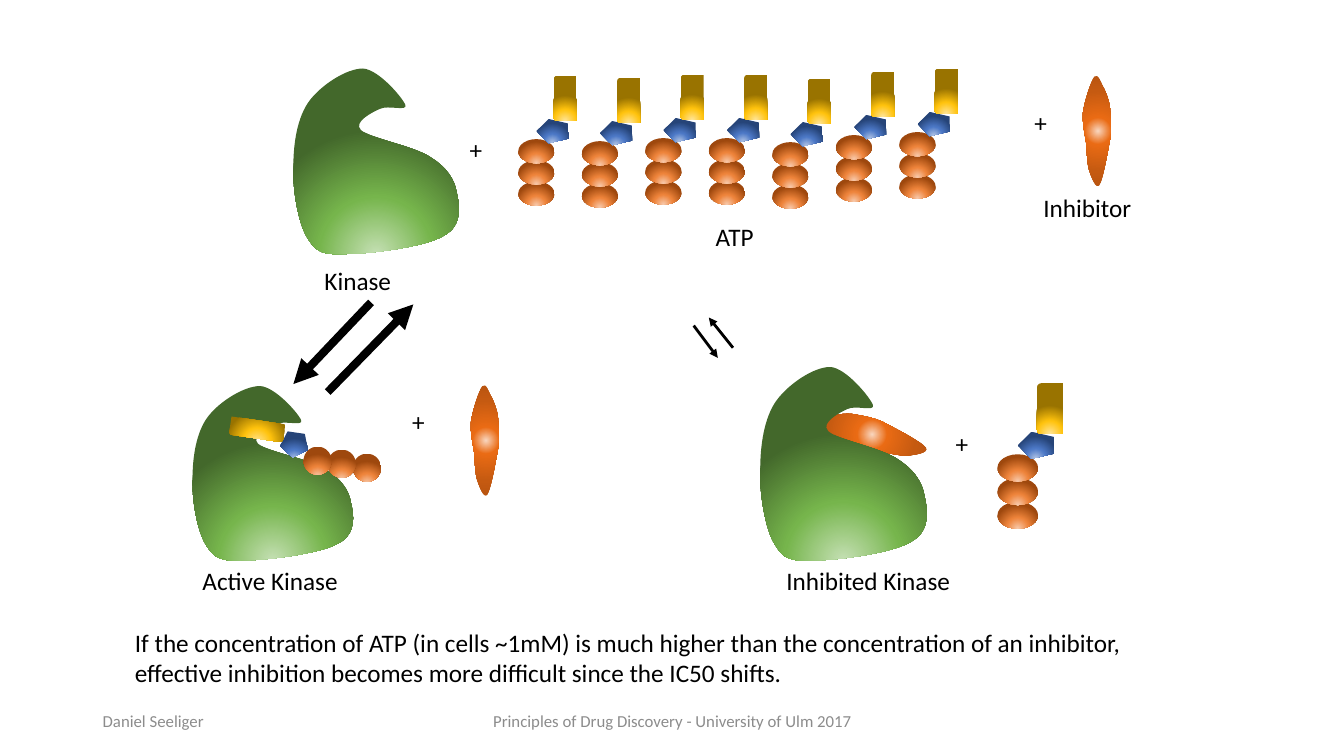
from pptx import Presentation
from pptx import util as u
from pptx.dml.color import RGBColor
from pptx.enum import shapes, text
from pptx.oxml import parse_xml
from pptx.oxml.ns import nsdecls, qn

deck = Presentation()
deck.slide_width, deck.slide_height = u.Inches(13.33), u.Inches(7.5)
slide = deck.slides.add_slide(deck.slide_layouts[6])
tree = slide.shapes
KIND = shapes.MSO_SHAPE

# Gradients: colour stops by percent, then the height of the focus
GREEN = ({0: "C5E0B4", 46: "76B54C", 100: "43682B"}, 130)
ORANGE = ({0: "F8CBAD", 46: "EE843B", 100: "9E480E"}, 130)
BLUE = ({0: "B4C7E7", 46: "4D79C7", 100: "264478"}, 130)
GOLD = ({0: "FFE699", 46: "FFC30D", 100: "997300"}, 130)
RUST = ({0: "F9D7BF", 23: "EA6B14", 69: "C55A11", 97: "B85410"}, 50)

# Outlines in hundredths of an inch: frame, then a start and three points per curve
KINASE = ((291, 68, 164, 184), [
    (402, 104),
    (400, 98), (376, 69), (360, 68), (344, 68), (319, 84), (307, 100),
    (295, 116), (291, 142), (291, 165), (290, 188), (296, 222), (305, 236),
    (314, 251), (321, 253), (344, 252), (366, 252), (422, 245), (440, 234),
    (459, 224), (456, 204), (453, 191), (451, 178), (443, 166), (427, 156),
    (411, 145), (366, 137), (358, 129), (350, 121), (370, 111), (377, 108),
    (385, 104), (405, 111), (402, 104)])
LENS = ((-55, -14, 110, 28), [
    (7, -12),
    (-6, -14), (-14, -13), (-22, -13), (-30, -12.5), (-37, -10), (-42, -8),
    (-47, -5), (-58, -3), (-54, 1), (-50, 4.5), (-30, 12), (-19, 14),
    (-9, 15.5), (9, 12.5), (9, 12.5), (19, 12), (30, 12.5), (37.5, 11),
    (45, 9), (58, 5), (54, 1.5), (49, -2.5), (19.5, -9), (7, -12)])


def paint(shape, grad, turn=0):
    """Give a shape a round gradient, no line, no shadow and a rotation."""
    stops, focus = grad
    marks = "".join(f'<a:gs pos="{at * 1000}"><a:srgbClr val="{tint}"/></a:gs>'
                    for at, tint in stops.items())
    shape.shadow.inherit = False
    shape.line.fill.background()
    shape.fill.background()
    props = shape._element.spPr
    props.replace(props.find(qn("a:noFill")), parse_xml(
        f'<a:gradFill rotWithShape="1" {nsdecls("a")}><a:gsLst>{marks}</a:gsLst>'
        f'<a:path path="circle"><a:fillToRect l="50000" t="{focus * 1000}" '
        f'r="50000" b="{(100 - focus) * 1000}"/></a:path></a:gradFill>'))
    shape.rotation = turn
    return shape


def curve(outline, box, grad, turn=0):
    """Draw a closed outline of cubic curves, fitted to a box."""
    (x, y, wide, high), knots = outline
    pen = tree.build_freeform(*knots[0])
    pen.add_line_segments(knots[3::3])
    shape = pen.convert_to_shape()
    dots = [f'<a:pt x="{round((a - x) * 100)}" y="{round((b - y) * 100)}"/>'
            for a, b in knots]
    bends = "".join(f'<a:cubicBezTo>{"".join(dots[i:i + 3])}</a:cubicBezTo>'
                    for i in range(1, len(dots), 3))
    route = next(shape._element.iter(qn("a:path")))
    route.getparent().replace(route, parse_xml(
        f'<a:path w="{wide * 100}" h="{high * 100}" {nsdecls("a")}>'
        f'<a:moveTo>{dots[0]}</a:moveTo>{bends}<a:close/></a:path>'))
    shape.left, shape.top, shape.width, shape.height = map(u.Inches, box)
    return paint(shape, grad, turn)


# ATP: three phosphates, a sugar and a base, as offsets from the lowest phosphate
ATP = [(KIND.OVAL, ORANGE, 0, -0.21 * n, 0.24, 0.36) for n in range(3)]
ATP += [(KIND.REGULAR_PENTAGON, BLUE, 0.16, -0.6, 0.24, 0.32),
        (KIND.ROUND_2_SAME_RECTANGLE, GOLD, 0.18, -0.88, 0.45, 0.23)]
BOUND = [(KIND.OVAL, ORANGE, x, y, 0.28, 0.28)
         for x, y in ((3.5, 4.5), (3.25, 4.46), (3.01, 4.43))]
BOUND += [(KIND.REGULAR_PENTAGON, BLUE, 2.78, 4.29, 0.28, 0.25),
          (KIND.ROUND_2_SAME_RECTANGLE, GOLD, 2.28, 4.17, 0.54, 0.18)]
lows = (1.74, 1.76, 1.73, 1.73, 1.77, 1.7, 1.67)
sets = [(BOUND, 0, 0, 1, 188.3)]
sets += [(ATP, 5.2 + 0.63 * n, low, 1, 270) for n, low in enumerate(lows)]
sets += [(ATP, 9.96, 4.91, 1.12, 270)]
for parts, left, top, size, turn in sets:
    group = []
    if parts is BOUND:
        group.append(curve(KINASE, (1.91, 3.83, 1.59, 1.73), GREEN))
    for kind, grad, x, y, wide, high in parts:
        box = (left + x * size, top + y * size, wide * size, high * size)
        group.append(paint(tree.add_shape(kind, *map(u.Inches, box)), grad, turn))
    tree.add_group_shape(group)

# Inhibited kinase, free kinase and free inhibitors
tree.add_group_shape([curve(LENS, (8.09, 4.14, 1.12, 0.34), RUST, 12.1),
                      curve(KINASE, (7.54, 3.64, 1.65, 1.92), GREEN)])
curve(KINASE, (2.91, 0.68, 1.64, 1.84), GREEN)
for left, top in ((4.27, 4.23), (10.34, 1.16)):
    curve(LENS, (left, top, 1.1, 0.28), RUST, 87.2)

# Reaction arrows
for x1, y1, x2, y2, wide in ((3.68, 3, 2.91, 3.81, 5.75), (3.25, 3.89, 4.1, 3.02, 5.75),
                             (6.88, 3.23, 7.12, 3.55, 2), (7.27, 3.45, 7.03, 3.15, 2)):
    arrow = tree.add_connector(shapes.MSO_CONNECTOR.STRAIGHT,
                               *map(u.Inches, (x1, y1, x2, y2)))
    arrow.line.color.rgb = RGBColor.from_string("000000")
    arrow.line.width = u.Pt(wide)
    arrow.line._get_or_add_ln().append(
        parse_xml(f'<a:tailEnd type="triangle" {nsdecls("a")}/>'))
    arrow._element.spPr.append(parse_xml(f'<a:effectLst {nsdecls("a")}/>'))

# Labels, closing remark and footer
black, grey = (18, "000000"), (12, "8C8C8C")
labels = [("Kinase", 3.12, 2.58, 0.87), ("ATP", 7, 2.15, 0.58),
          ("Inhibitor", 10.25, 1.86, 1.08), ("Active Kinase", 1.91, 5.56, 1.56),
          ("Inhibited Kinase", 7.7, 5.56, 1.85)]
labels += [("+", x, y, 0.33)
           for x, y in ((4.56, 1.28), (10.16, 1.02), (3.99, 3.98), (9.38, 4.2))]
notes = [(*label, 0.4, False, black) for label in labels]
notes += [("If the concentration of ATP (in cells ~1mM) is much higher than the "
           "concentration of an inhibitor, effective inhibition becomes more difficult "
           "since the IC50 shifts.", 1.24, 6.17, 10.86, 0.71, True, black),
          ("Daniel Seeliger", 0.92, 6.95, 3, 0.4, True, grey),
          ("Principles of Drug Discovery - University of Ulm 2017",
           4.42, 6.95, 4.5, 0.4, True, grey)]
for words, left, top, wide, high, wrap, (size, tint) in notes:
    frame = tree.add_textbox(*map(u.Inches, (left, top, wide, high))).text_frame
    frame.text = words
    frame.word_wrap = wrap
    line = frame.paragraphs[0]
    if size == 12:
        frame.vertical_anchor = text.MSO_ANCHOR.MIDDLE
    else:
        frame.auto_size = text.MSO_AUTO_SIZE.SHAPE_TO_FIT_TEXT
    if words.startswith("Principles"):
        line.alignment = text.PP_ALIGN.CENTER
    font = line.runs[0].font
    font.name, font.size = "Calibri", u.Pt(size)
    font.color.rgb = RGBColor.from_string(tint)

deck.save("out.pptx")
